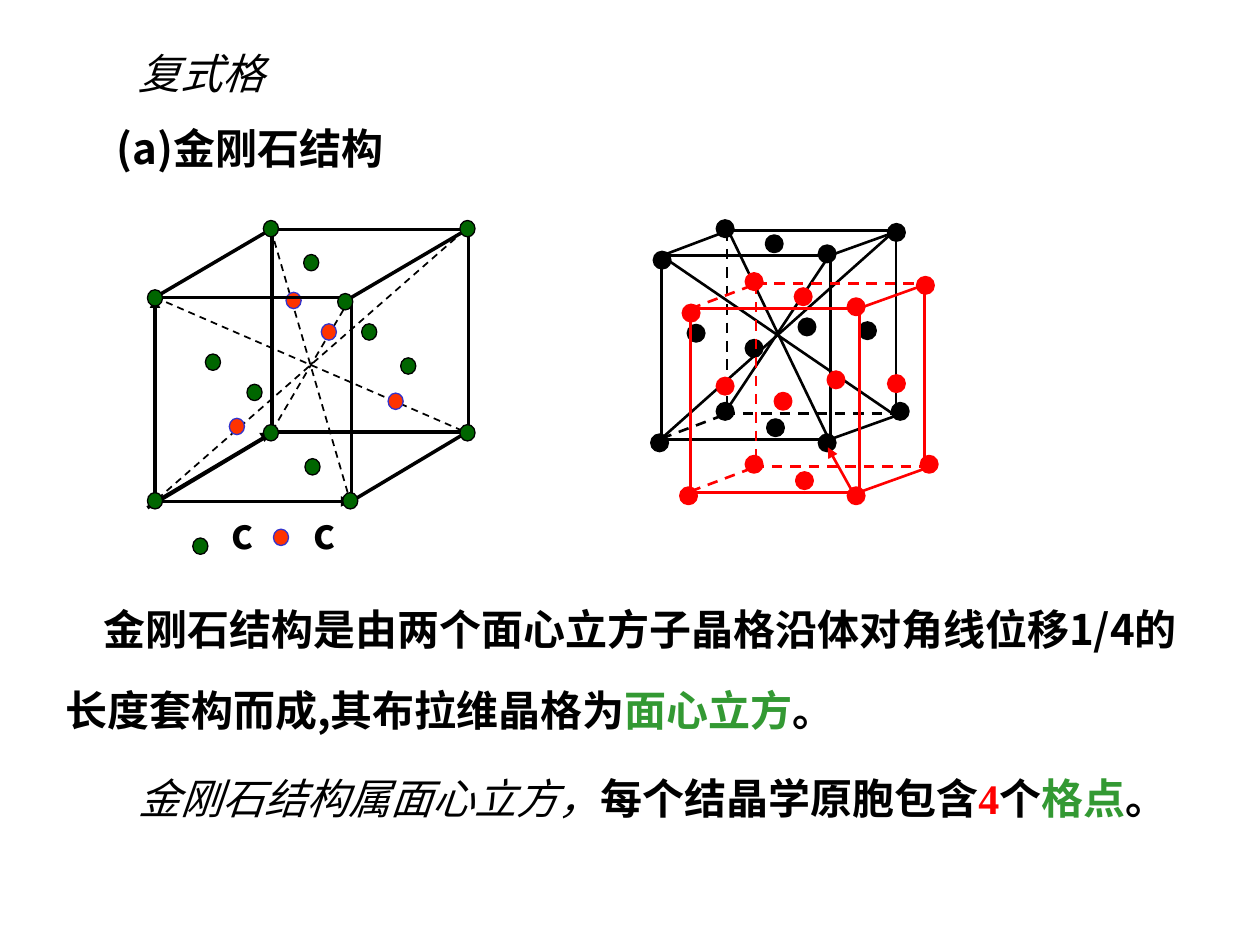
from lxml import etree
from pptx import Presentation
from pptx import util as u
from pptx.dml.color import RGBColor
from pptx.enum import dml, shapes, text
from pptx.oxml.ns import qn

PX = 9144  # 100 px to the inch
SANS, SERIF = "Noto Sans CJK SC", "Times New Roman"
BLACK, RED, GREEN = "000000", "FF0000", "339933"
DARK_GREEN, ORANGE, BLUE = "006600", "FF3300", "3333CC"


def px(*values):
    return [u.Emu(value * PX) for value in values]


def color(hex_string):
    return RGBColor.from_string(hex_string)


def style_line(line, line_color, width, dashed=False):
    line.color.rgb = color(line_color)
    line.width = u.Pt(width)
    if dashed:
        line.dash_style = dml.MSO_LINE.DASH


def add_line(slide, origin, ends, line_color, width, dashed=False, arrow=False):
    x, y = origin
    x1, y1, x2, y2 = ends
    connector = slide.shapes.add_connector(
        shapes.MSO_CONNECTOR.STRAIGHT, *px(x + x1, y + y1, x + x2, y + y2))
    style_line(connector.line, line_color, width, dashed)
    if arrow:
        etree.SubElement(connector.line._get_or_add_ln(), qn("a:tailEnd"), type="triangle")
    etree.SubElement(connector._element.spPr, qn("a:effectLst"))


def add_preset(slide, preset, origin, box, fill, line_color, width):
    left, top, *size = box
    shape = slide.shapes.add_shape(preset, *px(origin[0] + left, origin[1] + top, *size))
    shape.shadow.inherit = False
    if fill:
        shape.fill.solid()
        shape.fill.fore_color.rgb = color(fill)
    else:
        shape.fill.background()
    style_line(shape.line, line_color, width)


def add_face(slide, origin, box, line_color, width):
    add_preset(slide, shapes.MSO_SHAPE.RECTANGLE, origin, box, None, line_color, width)


def add_atoms(slide, origin, places, size, fill, line_color, width):
    for place in places:
        add_preset(slide, shapes.MSO_SHAPE.OVAL, origin, (*place, *size),
                   fill, line_color, width)


def write(shape, box, runs, line_spacing=None, indent=0):
    """Place a text shape; each run is (words, colour, bold, italic, font)."""
    shape.left, shape.top, shape.width, shape.height = px(*box)
    frame = shape.text_frame
    frame.word_wrap = True
    frame.auto_size = text.MSO_AUTO_SIZE.NONE
    frame.vertical_anchor = text.MSO_ANCHOR.TOP
    paragraph = frame.paragraphs[0]
    paragraph.alignment = text.PP_ALIGN.LEFT
    paragraph.space_before = u.Pt(0)
    if line_spacing:
        paragraph.line_spacing = line_spacing
    if indent:
        paragraph._p.get_or_add_pPr().set("indent", str(indent * PX))
    for words, run_color, bold, italic, font_name in runs:
        run = paragraph.add_run()
        run.text = words
        font = run.font
        font.size, font.name, font.bold, font.italic = u.Pt(24), font_name, bold, italic
        font.color.rgb = color(run_color)
        etree.SubElement(run._r.get_or_add_rPr(), qn("a:ea"), typeface=font_name)


def add_text(slide, box, runs, **layout):
    write(slide.shapes.add_textbox(*px(*box)), box, runs, **layout)


def bold(words, run_color=BLACK, font_name=SANS):
    return words, run_color, True, False, font_name


def italic(words):
    return words, BLACK, False, True, SANS


def add_sublattice(slide, origin, line_color, hidden_back):
    """Face-centred cube; hidden_back dashes the two rear top edges."""
    edges = [
        ((141, 28, 194, 9), False), ((194, 9, 194, 155), False),
        ((141, 174, 194, 155), False),
        ((60, 8, 194, 8), hidden_back), ((8, 28, 61, 8), hidden_back),
        ((60, 8, 60, 153), True), ((8, 173, 61, 153), True), ((58, 153, 192, 153), True),
    ]
    for ends, dashed in edges:
        add_line(slide, origin, ends, line_color, 1.5, dashed)
    add_face(slide, origin, (8, 28, 134, 146), line_color, 1.5)
    corners = [(2, 25), (52, 0), (188, 3), (133, 20),
               (0, 170), (52, 145), (191, 145), (133, 170)]
    face_centres = [(29, 83), (92, 158), (165, 81), (91, 12), (75, 95), (117, 78)]
    add_atoms(slide, origin, corners + face_centres, (13, 13), line_color, line_color, 1.5)


def add_shifted_lattices(slide, left, top):
    origin = left, top
    for diagonal in [(8, 173, 191, 10), (62, 10, 141, 174),
                     (8, 28, 191, 153), (58, 153, 141, 28)]:
        add_line(slide, origin, diagonal, BLACK, 1.5)
    add_sublattice(slide, origin, BLACK, hidden_back=False)
    add_sublattice(slide, (left + 23, top + 42), RED, hidden_back=True)
    add_line(slide, origin, (160, 216, 140, 180), RED, 1.5, arrow=True)


def add_unit_cell(slide, left, top):
    origin = left, top
    for diagonal in [(98, 7, 161, 223), (6, 61, 255, 169),
                     (8, 221, 255, 5), (99, 167, 162, 60)]:
        add_line(slide, origin, diagonal, BLACK, 1, dashed=True)
    inner_atoms = [(110, 57), (191, 137), (65, 157), (138, 82)]
    add_atoms(slide, origin, inner_atoms, (12, 13), ORANGE, BLUE, 0.75)
    for face in [(6, 61, 156, 162), (99, 7, 156, 161)]:
        add_face(slide, origin, face, BLACK, 2)
    for edge in [(162, 61, 254, 7), (0, 228, 92, 173), (6, 61, 98, 7), (165, 221, 257, 166)]:
        add_line(slide, origin, edge, BLACK, 2)
    for axis, width in [((7, 222, 98, 168), 0.75), ((6, 223, 162, 223), 2),
                        ((6, 223, 6, 61), 2)]:
        add_line(slide, origin, axis, BLACK, width, arrow=True)
    corners = [(92, 0), (248, 0), (0, 55), (151, 58),
               (0, 216), (155, 216), (248, 162), (92, 162)]
    face_centres = [(46, 106), (124, 27), (170, 82), (201, 109), (125, 189), (79, 130)]
    add_atoms(slide, origin, corners + face_centres, (12, 13), DARK_GREEN, BLACK, 0.75)


def add_legend(slide, left, top):
    for place, label_left, fill, line_color in [((0, 29), 21, DARK_GREEN, BLACK),
                                                ((64, 22), 86, ORANGE, BLUE)]:
        add_atoms(slide, (left, top), [place], (12, 13), fill, line_color, 0.75)
        add_text(slide, (left + label_left, top, 40, 50), [bold("c")])


def add_explanation(slide, left, top):
    add_text(slide, (left, top, 933, 138), [
        bold("金刚石结构是由两个面心立方子晶格沿体对角线位移1/4的长度套构而成,其布拉维晶格为"),
        bold("面心立方", GREEN), bold("。")], line_spacing=1.6, indent=30)
    add_text(slide, (left + 58, top + 158, 867, 50), [
        italic("金刚石结构属面心立方，"), bold("每个结晶学原胞包含"),
        bold("4", RED, SERIF), bold("个"), bold("格点", GREEN), bold("。")])


def main():
    presentation = Presentation()
    presentation.slide_width, presentation.slide_height = px(1000, 750)
    slide = presentation.slides.add_slide(presentation.slide_layouts[5])
    write(slide.shapes.title, (100, 33, 208, 50), [italic("复式格")])
    add_text(slide, (83, 92, 358, 50), [bold("(a)金刚石结构")])
    add_explanation(slide, 42, 450)
    add_shifted_lattices(slide, 517, 175)
    add_unit_cell(slide, 117, 175)
    add_legend(slide, 153, 398)
    presentation.save("out.pptx")


if __name__ == "__main__":
    main()
